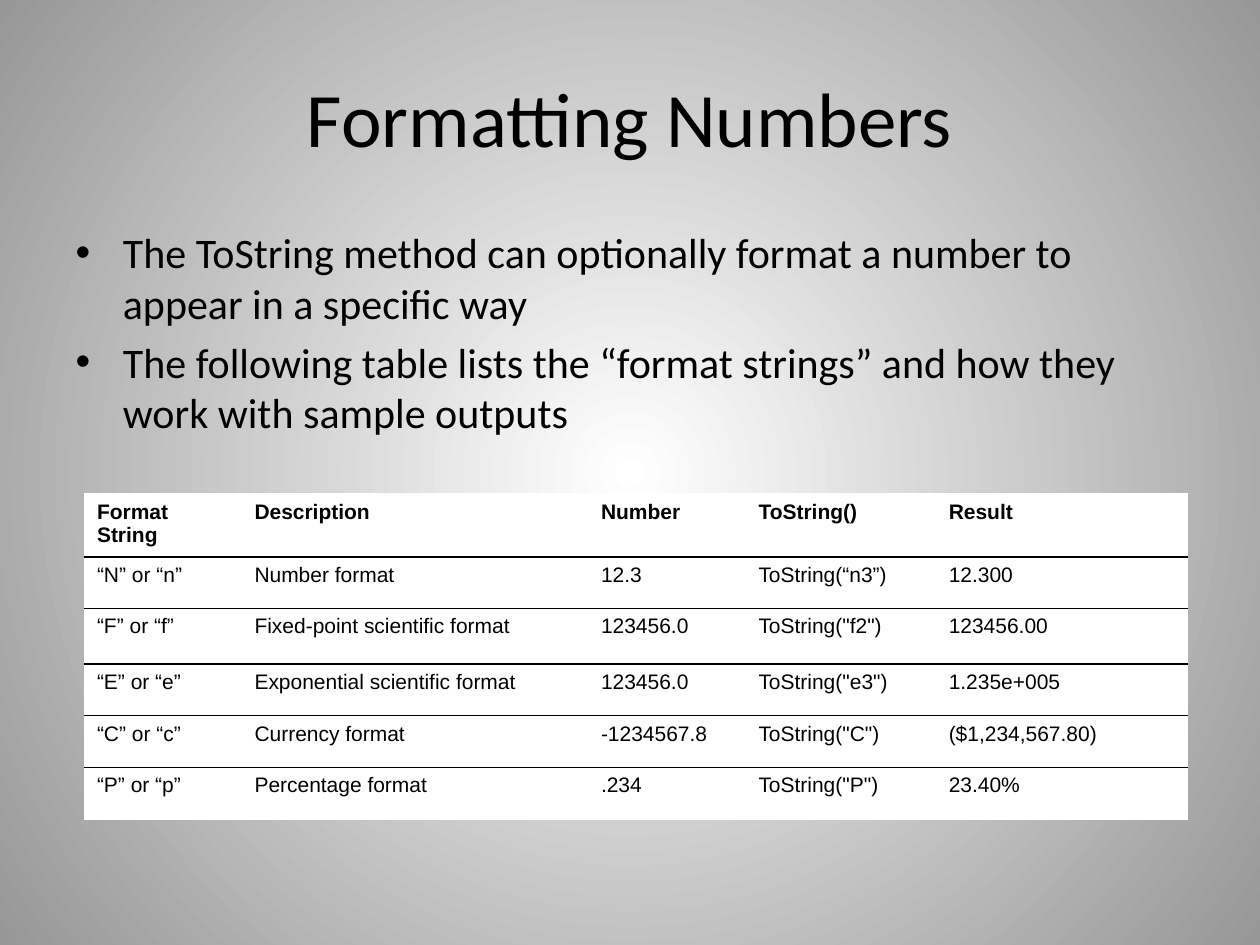
from lxml import etree
from pptx import Presentation
from pptx import util as u
from pptx.dml.color import RGBColor
from pptx.enum import text
from pptx.oxml.ns import qn

theme = {
    "ink": "000000", "paper": "FFFFFF", "edge": "979797",
    "title": {"name": "Calibri", "size": u.Pt(44)},
    "list": {"name": "Calibri", "size": u.Pt(24)},
    "header": {"name": "Arial", "size": u.Pt(12), "bold": True},
    "entry": {"name": "Arial", "size": u.Pt(12), "bold": False},
}


def style(paragraph, role):
    for attribute, value in theme[role].items():
        setattr(paragraph.font, attribute, value)
    paragraph.font.color.rgb = RGBColor.from_string(theme["ink"])


def add_borders(cell, colours):
    """Draw 1 pt lines on the left, right, top and bottom, in that order."""
    properties = cell._tc.get_or_add_tcPr()
    for position, (side, colour) in enumerate(zip("LRTB", colours)):
        line = etree.Element(qn(f"a:ln{side}"), w=str(u.Pt(1)))
        fill = etree.SubElement(line, qn("a:solidFill"))
        etree.SubElement(fill, qn("a:srgbClr"), val=colour)
        properties.insert(position, line)


prs = Presentation()
prs.slide_width, prs.slide_height = u.Inches(10), u.Inches(7.5)
slide = prs.slides.add_slide(prs.slide_layouts[1])

# Background: radial gradient from the centre
backdrop = slide.background.fill
backdrop.gradient()
for stop, shade in zip(backdrop.gradient_stops, ("paper", "edge")):
    stop.color.rgb = RGBColor.from_string(theme[shade])
linear = next(slide.element.iter(qn("a:lin")))
radial = etree.Element(qn("a:path"), path="circle")
etree.SubElement(radial, qn("a:fillToRect"), {side: "50000" for side in "ltrb"})
linear.getparent().replace(linear, radial)

# Title and list
title, points = slide.placeholders
places = [(title, (0.5, 0.3, 9, 1.25)), (points, (0.5, 1.75, 9, 2))]
for placeholder, place in places:
    for attribute, value in zip(("left", "top", "width", "height"), place):
        setattr(placeholder, attribute, u.Inches(value))

title.text_frame.text = "Formatting Numbers"
title.text_frame.vertical_anchor = text.MSO_ANCHOR.MIDDLE
style(title.text_frame.paragraphs[0], "title")
points.text_frame.text = "\n".join([
    "The ToString method can optionally format a number to appear in a specific way",
    "The following table lists the “format strings” and how they work with sample outputs",
])
for point in points.text_frame.paragraphs:
    style(point, "list")

# Table of format strings
entries = [
    ("Format String", "Description", "Number", "ToString()", "Result"),
    ("“N” or “n”", "Number format", "12.3", "ToString(“n3”)", "12.300"),
    ("“F” or “f”", "Fixed-point scientific format", "123456.0", 'ToString("f2")', "123456.00"),
    ("“E” or “e”", "Exponential scientific format", "123456.0", 'ToString("e3")', "1.235e+005"),
    ("“C” or “c”", "Currency format", "-1234567.8", 'ToString("C")', "($1,234,567.80)"),
    ("“P” or “p”", "Percentage format", ".234", 'ToString("P")', "23.40%"),
]
column_widths = (1.25, 2.75, 1.25, 1.51, 1.99)
row_heights = (0.5, 0.41, 0.44, 0.41, 0.41, 0.41)
formats = slide.shapes.add_table(
    len(entries), len(column_widths),
    u.Inches(0.67), u.Inches(3.92), u.Inches(8.75), u.Inches(2.56)).table
formats.horz_banding = False
for column, width in zip(formats.columns, column_widths):
    column.width = u.Inches(width)

last = len(entries) - 1
for r, (row, height, entry) in enumerate(zip(formats.rows, row_heights, entries)):
    row.height = u.Inches(height)
    above = theme["paper" if r == 0 else "ink"]
    below = theme["paper" if r == last else "ink"]
    for cell, wording in zip(row.cells, entry):
        cell.text = wording
        style(cell.text_frame.paragraphs[0], "header" if r == 0 else "entry")
        cell.fill.solid()
        cell.fill.fore_color.rgb = RGBColor.from_string(theme["paper"])
        add_borders(cell, (theme["paper"], theme["paper"], above, below))

prs.save("out.pptx")
